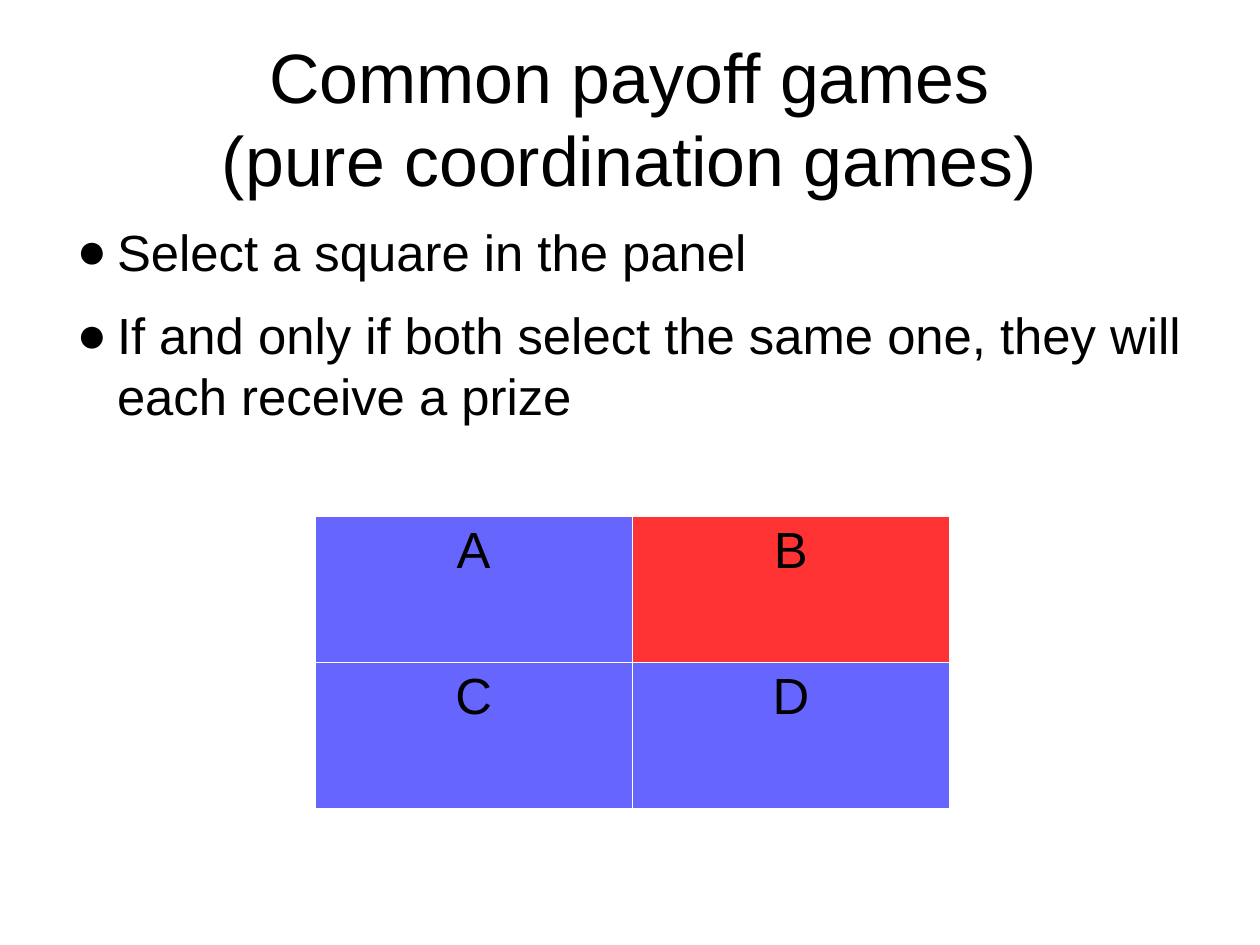
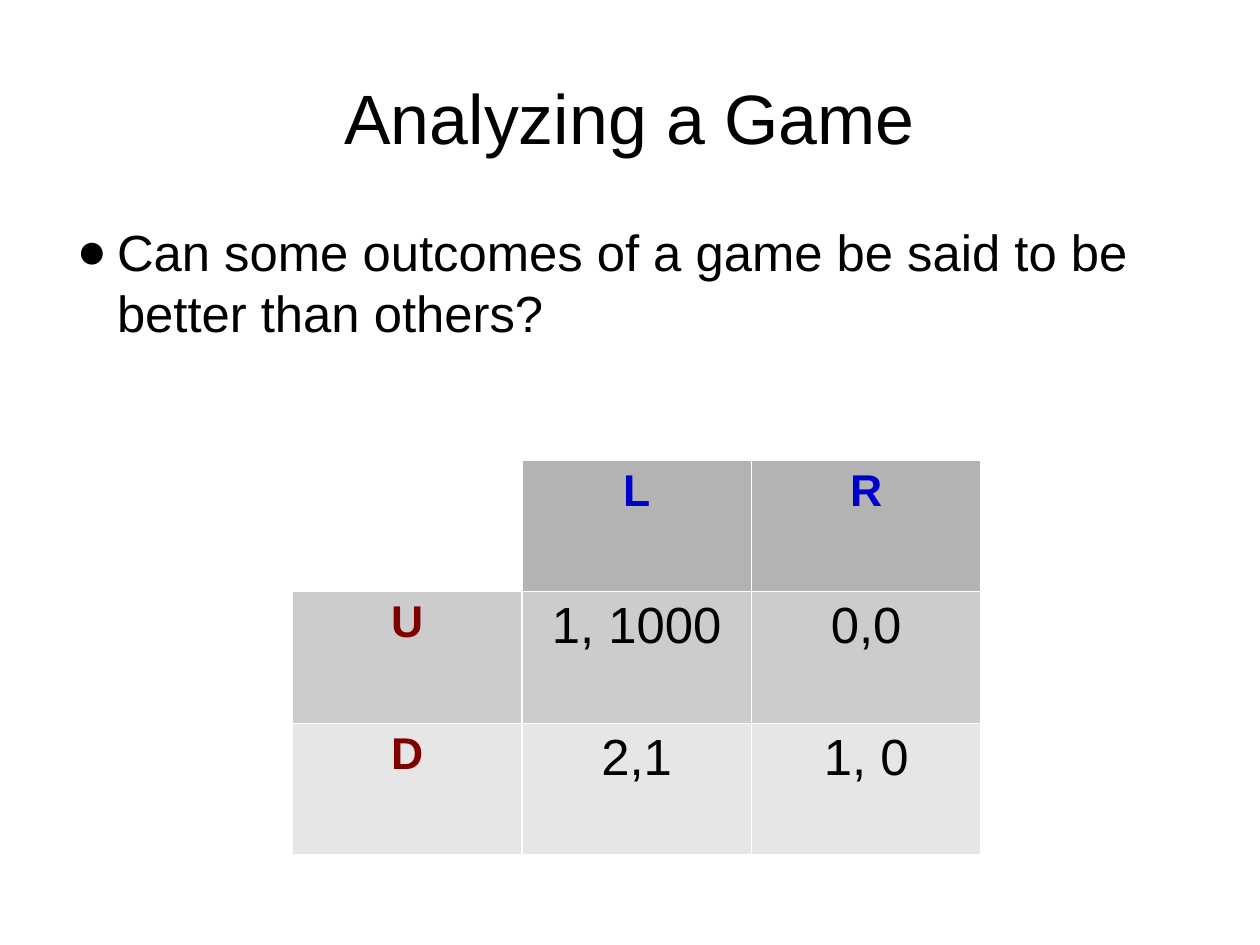
"""Build two game theory slides, each with a title, bullets and a payoff table."""
import pptx
import pptx.util
import pptx.dml.color
import pptx.enum.text
import pptx.oxml
import pptx.oxml.ns
from dataclasses import dataclass

PX = 9000
ALIGN = pptx.enum.text.PP_ALIGN
ANCHOR = pptx.enum.text.MSO_ANCHOR


@dataclass(frozen=True)
class Theme:
    font: str = "Arial"
    ink: str = "000000"
    paper: str = "FFFFFF"
    blue: str = "6666FF"
    red: str = "FF3333"
    left_player: str = "800000"
    top_player: str = "0000CC"
    head: str = "B3B3B3"
    mid: str = "CCCCCC"
    light: str = "E6E6E6"
    title_size: int = 44
    text_size: int = 32
    label_size: int = 28
    border: float = 0.75
    bullet_gap: float = 14.2


T = Theme()
SLIDE_SIZE = (1120, 840)
TITLE_BOX = (56, 34, 1008, 140)
BODY_ORIGIN = (56, 196)
BODY_WIDTH = 1008
INDENT, HANGING = 48, 36

STYLES = {
    "title": dict(name=T.font, size=T.title_size, color=T.ink, bold=False),
    "text": dict(name=T.font, size=T.text_size, color=T.ink, bold=False),
    "column": dict(name=T.font, size=T.label_size, color=T.top_player, bold=True),
    "row": dict(name=T.font, size=T.label_size, color=T.left_player, bold=True),
}

SLIDES = [
    dict(
        title="Common payoff games\n(pure coordination games)",
        bullets=[
            "Select a square in the panel",
            "If and only if both select the same one, they will each receive a prize",
        ],
        body_height=555,
        origin=(280, 459),
        cell=(282, 130),
        rows=[
            [("A", "text", T.blue), ("B", "text", T.red)],
            [("C", "text", T.blue), ("D", "text", T.blue)],
        ],
    ),
    dict(
        title="Analyzing a Game",
        bullets=["Can some outcomes of a game be said to be better than others?"],
        body_height=570,
        origin=(260, 409),
        cell=(204, 117),
        rows=[
            [("", "text", None), ("L", "column", T.head), ("R", "column", T.head)],
            [("U", "row", T.mid), ("1, 1000", "text", T.mid), ("0,0", "text", T.mid)],
            [("D", "row", T.light), ("2,1", "text", T.light), ("1, 0", "text", T.light)],
        ],
    ),
]


def rgb(value):
    return pptx.dml.color.RGBColor.from_string(value)


def set_all(obj, **values):
    for name, value in values.items():
        setattr(obj, name, value)


def add_xml(parent, xml):
    ns = pptx.oxml.ns.nsdecls("a")
    tag, rest = xml.split(" ", 1)
    parent.append(pptx.oxml.parse_xml(f"{tag} {ns} {rest}"))


def write(p, text, style):
    p.text = text
    for r in p.runs:
        for name, value in STYLES[style].items():
            if name == "color":
                r.font.color.rgb = rgb(value)
            else:
                setattr(r.font, name, pptx.util.Pt(value) if name == "size" else value)


def place(sp, box, anchor):
    for name, value in zip(("left", "top", "width", "height"), box):
        setattr(sp, name, value * PX)
    tf = sp.text_frame
    set_all(tf, margin_left=0, margin_top=0, margin_right=0, margin_bottom=0,
            word_wrap=True, vertical_anchor=anchor,
            auto_size=pptx.enum.text.MSO_AUTO_SIZE.NONE)
    return tf


def add_title(s, text):
    p = place(s.shapes.title, TITLE_BOX, ANCHOR.MIDDLE).paragraphs[0]
    write(p, text, "title")
    p.alignment = ALIGN.CENTER


def add_bullets(s, items, height):
    tf = place(s.placeholders[1], (*BODY_ORIGIN, BODY_WIDTH, height), ANCHOR.TOP)
    for i, text in enumerate(items):
        p = tf.add_paragraph() if i else tf.paragraphs[0]
        write(p, text, "text")
        set_all(p, alignment=ALIGN.LEFT,
                space_before=pptx.util.Pt(T.bullet_gap if i else 0))
        pPr = p._p.get_or_add_pPr()
        pPr.set("marL", str(INDENT * PX))
        pPr.set("indent", str(-HANGING * PX))
        add_xml(pPr, f'<a:buClr ><a:srgbClr val="{T.ink}"/></a:buClr>')
        add_xml(pPr, f'<a:buFont typeface="{T.font}"/>')
        add_xml(pPr, '<a:buChar char="●"/>')


def format_cell(cell, text, style, fill):
    p = cell.text_frame.paragraphs[0]
    write(p, text, style)
    p.alignment = ALIGN.CENTER
    tcPr = cell._tc.get_or_add_tcPr()
    width = int(pptx.util.Pt(T.border))
    for side in ("lnL", "lnR", "lnT", "lnB"):
        add_xml(tcPr, f'<a:{side} w="{width}"><a:solidFill><a:srgbClr val="{T.paper}"/>'
                      f'</a:solidFill></a:{side}>')
    if fill:
        cell.fill.solid()
        cell.fill.fore_color.rgb = rgb(fill)
    else:
        cell.fill.background()


def add_payoffs(s, origin, cell, rows):
    n_rows, n_cols = len(rows), len(rows[0])
    x, y = (v * PX for v in origin)
    w, h = (v * PX for v in cell)
    table = s.shapes.add_table(n_rows, n_cols, x, y, n_cols * w, n_rows * h).table
    set_all(table, first_row=False, horz_banding=False)
    for i, row in enumerate(rows):
        for j, content in enumerate(row):
            format_cell(table.cell(i, j), *content)


def main():
    prs = pptx.Presentation()
    prs.slide_width, prs.slide_height = (v * PX for v in SLIDE_SIZE)
    for data in SLIDES:
        s = prs.slides.add_slide(prs.slide_layouts[1])
        add_title(s, data["title"])
        add_bullets(s, data["bullets"], data["body_height"])
        add_payoffs(s, data["origin"], data["cell"], data["rows"])
    prs.save("out.pptx")


if __name__ == "__main__":
    main()
